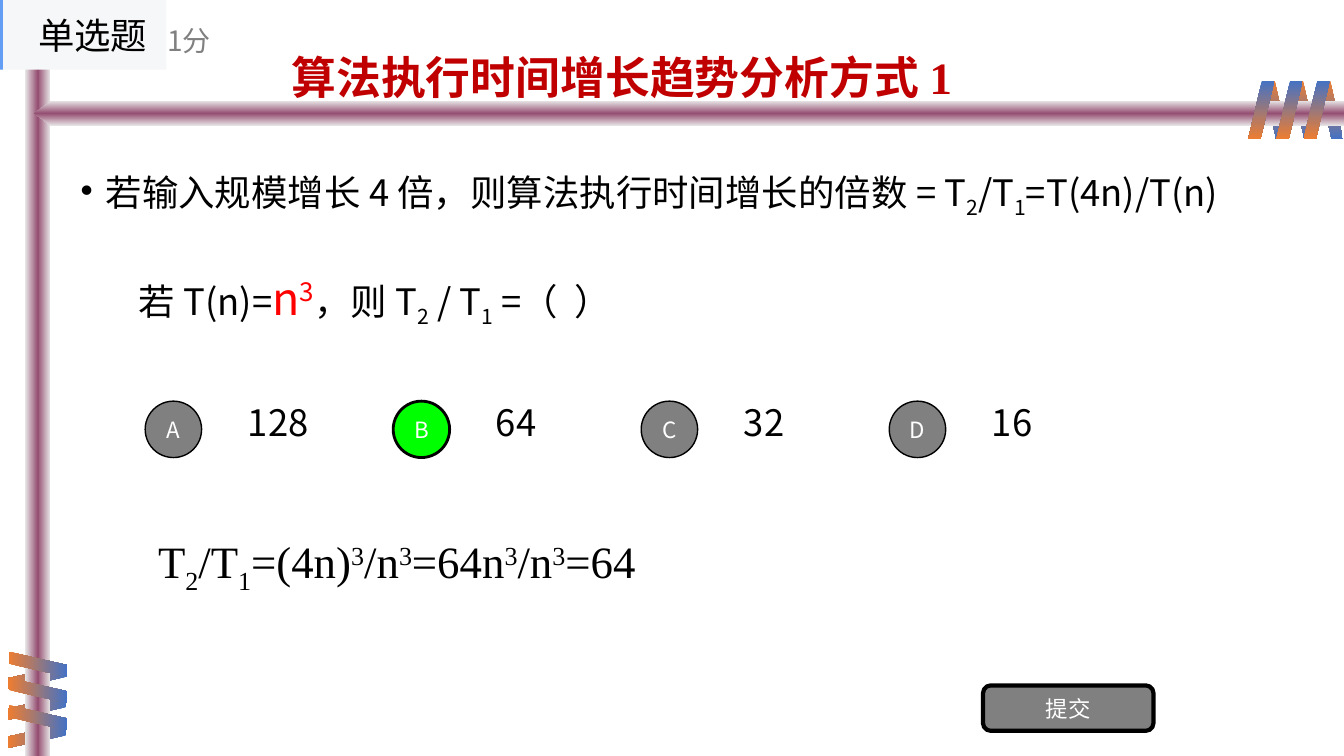
from pptx import Presentation, oxml
from pptx import util as u
from pptx.dml import color
from pptx.enum import shapes, text
from pptx.oxml import ns

PX = 9144
SANS = "Noto Sans CJK SC"
SERIF = "Times New Roman"
BLUE, ORANGE = "4472C4", "ED7D31"
BLACK, WHITE, GRAY = "000000", "FFFFFF", "808080"
BAR_COLORS = ["E7E6E6", "954F72", "E7E6E6"]
BASELINES = {"_": "-25000", "^": "30000"}
KIND = shapes.MSO_SHAPE
LEFT, CENTER = text.PP_ALIGN.LEFT, text.PP_ALIGN.CENTER
TOP, MIDDLE = text.MSO_ANCHOR.TOP, text.MSO_ANCHOR.MIDDLE


def px(*lengths):
    return [u.Emu(length * PX) for length in lengths]


def rgb(value):
    return color.RGBColor.from_string(value)


def write(shape, pieces, size, font=SANS, ink=BLACK, align=LEFT,
          anchor=MIDDLE, spacing=None, bullet=None, bold=False):
    frame = shape.text_frame
    frame.word_wrap = True
    frame.auto_size = text.MSO_AUTO_SIZE.NONE
    frame.vertical_anchor = anchor
    paragraph = frame.paragraphs[0]
    paragraph.alignment = align
    if spacing:
        paragraph.line_spacing = spacing
    if bullet:
        properties = paragraph._p.get_or_add_pPr()
        properties.set("marL", str(25 * PX))
        properties.set("indent", str(-25 * PX))
        properties.append(oxml.parse_xml(
            f'<a:buChar {ns.nsdecls("a")} char="{bullet}"/>'))
    for piece in pieces:
        run = paragraph.add_run()
        run.text = piece.lstrip("_^")
        if piece[0] in BASELINES:
            run._r.get_or_add_rPr().set("baseline", BASELINES[piece[0]])
    paragraph.font.size = u.Pt(size)
    paragraph.font.bold = bold
    paragraph.font.color.rgb = rgb(ink)
    paragraph.font.name = font
    paragraph.font._element.find(ns.qn("a:latin")).addnext(oxml.parse_xml(
        f'<a:ea {ns.nsdecls("a")} typeface="{SANS}"/>'))
    return paragraph


def add_text(slide, box, pieces, size, **style):
    return write(slide.shapes.add_textbox(*px(*box)), pieces, size, **style)


def add_shape(slide, kind, box, fill=None, line=None, line_width=1):
    shape = slide.shapes.add_shape(kind, *px(*box))
    shape.shadow.inherit = False
    if fill:
        shape.fill.solid()
        shape.fill.fore_color.rgb = rgb(fill)
    if line:
        shape.line.color.rgb = rgb(line)
        shape.line.width = u.Pt(line_width)
    else:
        shape.line.fill.background()
    return shape


def add_gradient_shape(slide, kind, box, colors, angle,
                       adjustment=None, rotation=0, flip=False):
    shape = add_shape(slide, kind, box)
    last = len(colors) - 1
    stops = "".join(
        f'<a:gs pos="{100000 * i // last}"><a:srgbClr val="{value}"/></a:gs>'
        for i, value in enumerate(colors))
    properties = shape._element.spPr
    properties.find(ns.qn("a:prstGeom")).addnext(oxml.parse_xml(
        f'<a:gradFill {ns.nsdecls("a")} rotWithShape="0">'
        f'<a:gsLst>{stops}</a:gsLst>'
        f'<a:lin ang="{angle * 60000}" scaled="0"/></a:gradFill>'))
    if adjustment:
        shape.adjustments[0] = adjustment
    shape.rotation = rotation
    if flip:
        properties.xfrm.set("flipH", "1")


def add_coil(slide, corners, width, colors, angle, rotation=0, flip=False):
    for left, top in corners:
        add_gradient_shape(slide, KIND.PARALLELOGRAM, (left, top, width, 58),
                           colors, angle, 0.53, rotation, flip)


def add_option(slide, left, letter, answer, chosen):
    add_text(slide, (left + 92, 384, 118, 70), [answer], 26)
    circle = add_shape(slide, KIND.OVAL, (left, 398, 56, 56),
                       "00FF00" if chosen else GRAY, BLACK, 2 if chosen else 1)
    write(circle, [letter], 16, ink=WHITE, align=CENTER)


def add_frame(slide):
    add_coil(slide, [(x, 80) for x in (1308, 1281, 1253)], 24,
             [ORANGE, BLUE], 90, 180, True)
    add_coil(slide, [(25, y) for y in (643, 673, 701)], 24,
             [BLUE, ORANGE], 0, 90, True)
    add_gradient_shape(slide, KIND.RECTANGLE, (25, 0, 25, 750), BAR_COLORS, 0)
    add_gradient_shape(slide, KIND.PENTAGON, (34, 100, 1299, 25),
                       BAR_COLORS, 90, 0.68, flip=True)
    add_coil(slide, [(25, y) for y in (630, 656, 683)], 25,
             [ORANGE, BLUE], 0, 270)
    add_coil(slide, [(x, 80) for x in (1293, 1266, 1238)], 26,
             [BLUE, ORANGE], 90)


def add_title(slide):
    title = slide.shapes.title
    title.left, title.top, title.width, title.height = px(279, 18, 819, 105)
    write(title, ["算法执行时间增长趋势分析方式 1"], 32, font=SERIF,
          ink="C00000", anchor=TOP, spacing=1.5, bold=True)


def add_question(slide):
    condition = add_text(
        slide, (128, 262, 601, 70),
        ["若 T(n)=", "n", "^3", "，则 T", "_2", " / T", "_1", " =（  ）"], 26)
    for run in condition.runs[1:3]:
        run.font.size = u.Pt(32)
        run.font.color.rgb = rgb("FF0000")
    for i, (letter, answer) in enumerate(zip("ABCD", ("128", "64", "32", "16"))):
        add_option(slide, 144 + 246 * i, letter, answer, letter == "B")
    button = add_shape(slide, KIND.ROUNDED_RECTANGLE, (975, 680, 169, 45),
                       GRAY, BLACK, 3)
    write(button, ["提交"], 16, ink=WHITE, align=CENTER)
    add_text(slide, (70, 139, 1238, 79),
             ["若输入规模增长 4 倍，则算法执行时间增长的倍数 = T", "_2", "/T",
              "_1", "=T(4n)/T(n)"], 26, anchor=TOP, spacing=1.5, bullet="•")
    add_text(slide, (139, 525, 509, 64),
             ["T", "_2", "/T", "_1", "=(4n)", "^3", "/n", "^3", "=64n", "^3",
              "/n", "^3", "=64"], 32, font=SERIF, align=CENTER, anchor=TOP)


def add_question_type(slide):
    add_shape(slide, KIND.RECTANGLE, (0, 0, 165, 69), "F6F7F8")
    add_shape(slide, KIND.RECTANGLE, (0, 0, 3, 69), "639EF4")
    add_text(slide, (28, 0, 137, 69), ["单选题"], 26)
    add_text(slide, (156, 12, 90, 56), ["1分"], 20, ink=GRAY)


def main():
    presentation = Presentation()
    presentation.slide_width, presentation.slide_height = px(1333, 750)
    slide = presentation.slides.add_slide(presentation.slide_layouts[5])
    add_frame(slide)
    add_title(slide)
    add_question(slide)
    add_question_type(slide)
    presentation.save("out.pptx")


if __name__ == "__main__":
    main()
